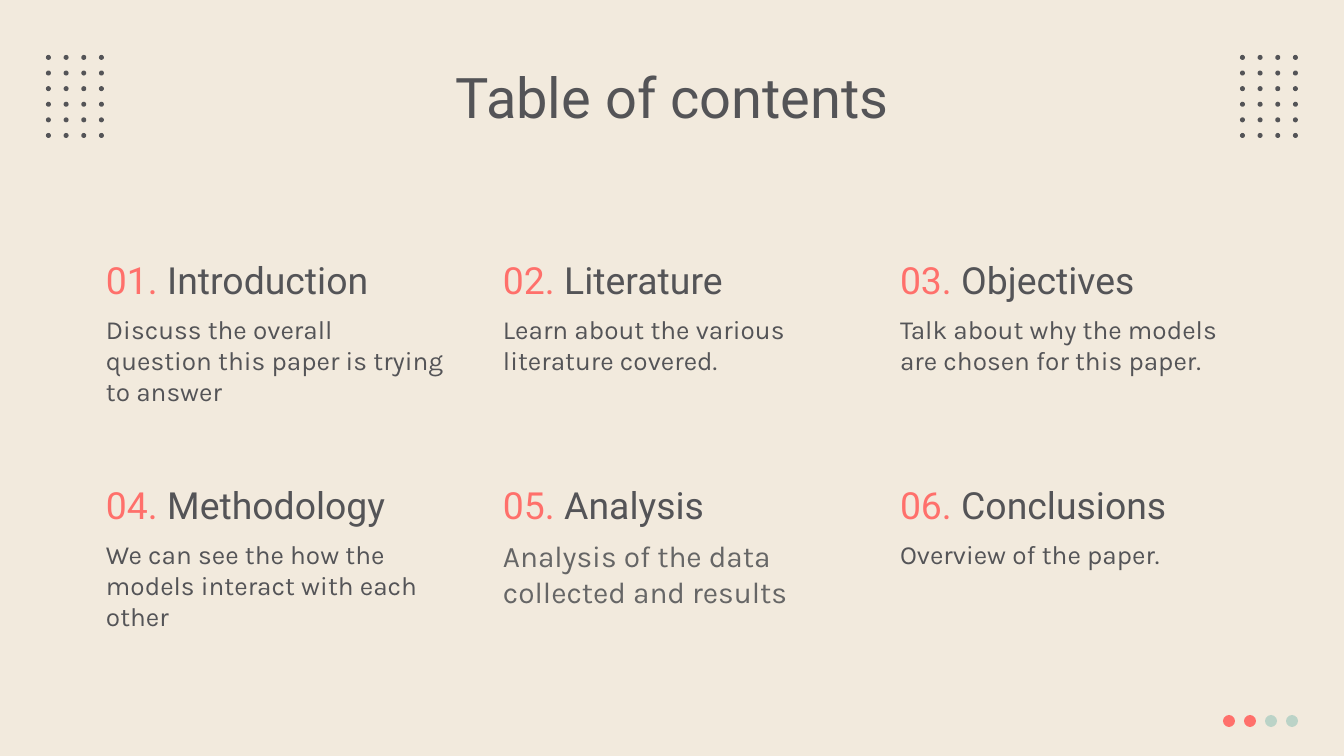
from pptx import Presentation
from pptx.dml.color import RGBColor
from pptx.enum.shapes import MSO_SHAPE as Shape
from pptx.enum.text import MSO_ANCHOR as Anchor, PP_ALIGN as Align
from pptx.util import Pt

EMU_PER_PX = 9144000 / 1344
CREAM, GRAY, LIGHT_GRAY = "F2EADD", "545457", "666666"
CORAL, MINT = "FF706B", "BBD3C7"

# number, heading, description, description size, description colour
SECTIONS = [
    ("01.", "Introduction", "Discuss the overall question this paper is trying to answer", 14, GRAY),
    ("02.", "Literature", "Learn about the various literature covered.", 14, GRAY),
    ("03.", "Objectives", "Talk about why the models are chosen for this paper.", 14, GRAY),
    ("04.", "Methodology", "We can see the how the models interact with each other", 14, GRAY),
    ("05.", "Analysis", "Analysis of the data collected and results", 16, LIGHT_GRAY),
    ("06.", "Conclusions", "Overview of the paper.", 14, GRAY),
]


def px(length):
    return round(length * EMU_PER_PX)


def color(value):
    return RGBColor.from_string(value)


def add_text(slide, box, runs, font, size, anchor=Anchor.TOP, align=Align.LEFT,
             margins=(0, 0, 0, 0)):
    frame = slide.shapes.add_textbox(*map(px, box)).text_frame
    frame.word_wrap = True
    frame.vertical_anchor = anchor
    frame.margin_left, frame.margin_top, frame.margin_right, frame.margin_bottom = map(px, margins)
    paragraph = frame.paragraphs[0]
    paragraph.alignment = align
    for text, fill in runs:
        run = paragraph.add_run()
        run.text = text
        run.font.name = font
        run.font.size = Pt(size)
        run.font.color.rgb = color(fill)


def add_dots(slide, box, size, rows):
    """Spread rows of coloured dots evenly over the box."""
    left, top, width, height = box
    group = slide.shapes.add_group_shape()
    column_step = (width - size) / (len(rows[0]) - 1)
    row_step = (height - size) / max(len(rows) - 1, 1)
    for row, fills in enumerate(rows):
        for column, fill in enumerate(fills):
            dot = group.shapes.add_shape(
                Shape.OVAL, px(left + column * column_step), px(top + row * row_step),
                px(size), px(size))
            dot.shadow.inherit = False
            dot.fill.solid()
            dot.fill.fore_color.rgb = color(fill)
            dot.line.fill.background()


def add_section(slide, box, section):
    left, top, width, height = box
    number, heading, description, size, fill = section
    heading_height = 67
    add_text(slide, (left, top, width, heading_height),
             [(number, CORAL), (f" {heading}", GRAY)], "Roboto", 20, Anchor.MIDDLE)
    add_text(slide, (left, top + heading_height, width, height - heading_height),
             [(description, fill)], "Karla", size)


def add_contents(slide, box, sections, columns=3, gap=58, section_height=169):
    left, top, width, height = box
    section_width = (width - (columns - 1) * gap) / columns
    row_step = height - section_height
    for index, section in enumerate(sections):
        row, column = divmod(index, columns)
        add_section(slide, (left + column * (section_width + gap), top + row * row_step,
                            section_width, section_height), section)


def main():
    presentation = Presentation()
    presentation.slide_width, presentation.slide_height = px(1344), px(756)
    slide = presentation.slides.add_slide(presentation.slide_layouts[6])
    slide.background.fill.solid()
    slide.background.fill.fore_color.rgb = color(CREAM)

    # Corner dot grids
    for left in (46, 1240):
        add_dots(slide, (left, 55, 58, 83), 5, [[GRAY] * 4] * 6)

    # Title
    add_text(slide, (106, 54, 1133, 85), [("Table of contents", GRAY)], "Roboto", 30,
             align=Align.CENTER, margins=(13, 9, 13, 13))

    # Contents grid
    add_contents(slide, (106, 246, 1133, 394), SECTIONS)

    # Progress dots
    add_dots(slide, (1223, 715, 75, 12), 12, [[CORAL, CORAL, MINT, MINT]])

    presentation.save("out.pptx")


if __name__ == "__main__":
    main()
